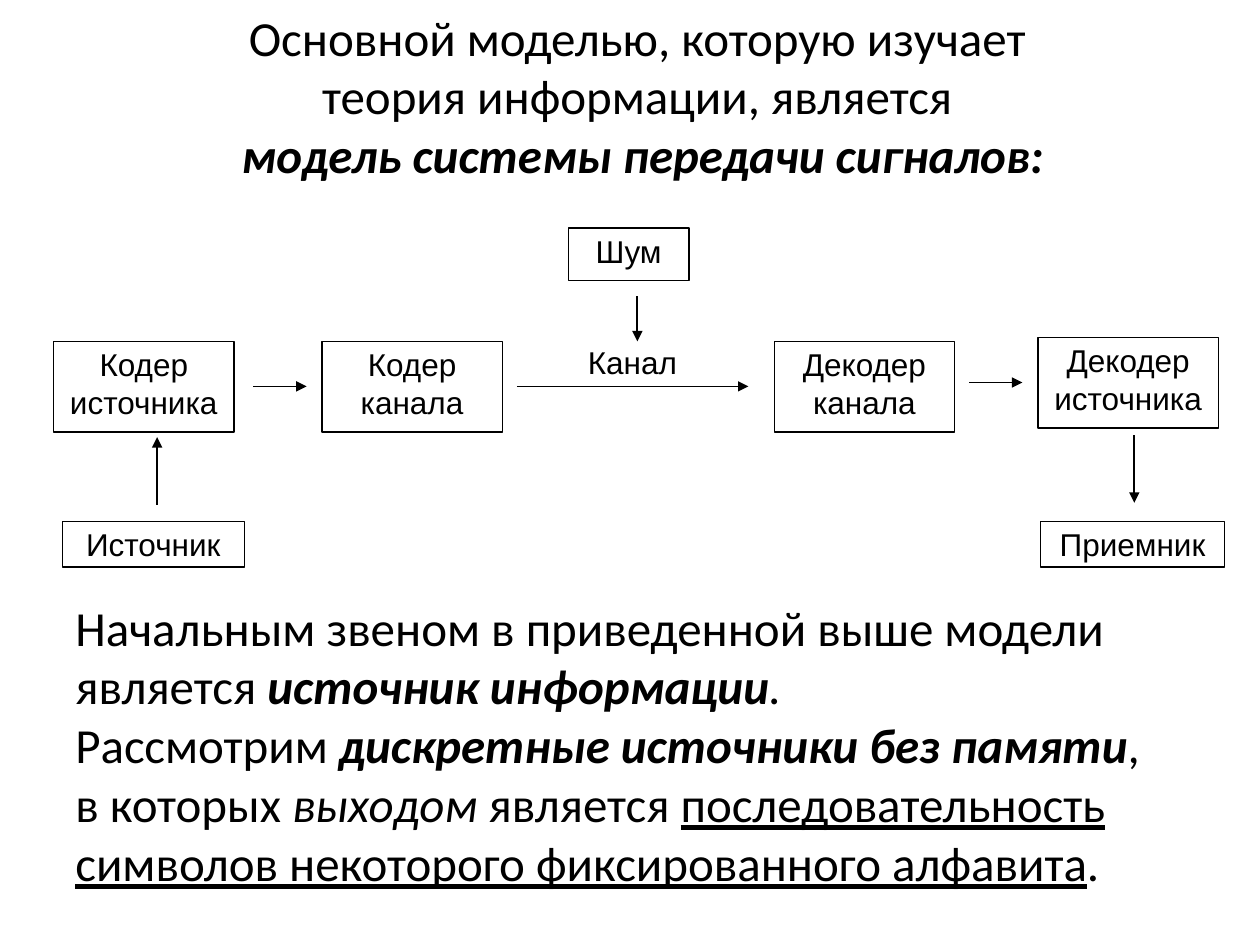
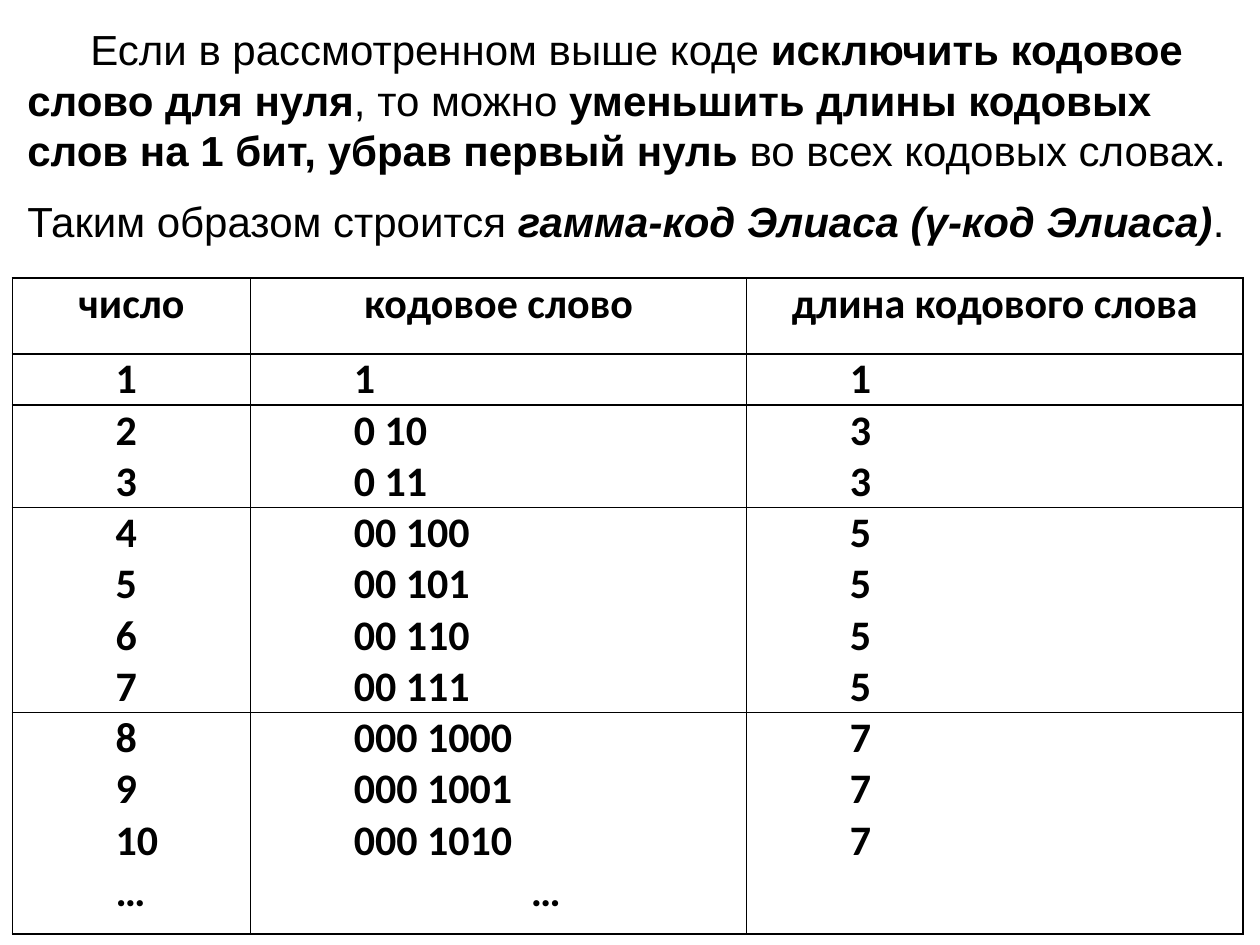
from lxml.etree import SubElement
from pptx import Presentation
from pptx.dml.color import RGBColor
from pptx.enum.shapes import MSO_CONNECTOR, MSO_SHAPE
from pptx.enum.text import MSO_ANCHOR, PP_ALIGN
from pptx.oxml.ns import qn
from pptx.util import Pt

BLACK, WHITE = "000000", "FFFFFF"
color = RGBColor.from_string


def add_spans(para, spans, size, font):
    """Add (text, style) runs; style letters are b, i and u, and a newline breaks the line."""
    for text, style in spans:
        for index, piece in enumerate(text.split("\n")):
            if index:
                para.add_line_break()
            if piece:
                span = para.add_run()
                span.text = piece
                span.font.size, span.font.name = Pt(size), font
                span.font.color.rgb = color(BLACK)
                span.font.bold = "b" in style
                span.font.italic = "i" in style
                span.font.underline = "u" in style


def add_text_box(page, place, paragraphs, size, font, anchor=MSO_ANCHOR.TOP):
    box = page.shapes.add_textbox(*map(Pt, place))
    frame = box.text_frame
    frame.word_wrap = True
    frame.vertical_anchor = anchor
    for index, spans in enumerate(paragraphs):
        para = frame.add_paragraph() if index else frame.paragraphs[0]
        add_spans(para, spans, size, font)
    return frame


deck = Presentation()
deck.slide_width, deck.slide_height = Pt(720), Pt(540)
blank = deck.slide_layouts[6]

# Slide 1: signal transmission model
page = deck.slides.add_slide(blank)
title = add_text_box(page, (14.4, 9.4, 705.6, 90), [[
    ("Основной моделью, которую изучает \nтеория информации, является \n", ""),
    ("модель системы передачи сигналов:", "bi"),
]], 28, "Calibri", MSO_ANCHOR.MIDDLE)
title.paragraphs[0].alignment = PP_ALIGN.CENTER

blocks = [
    ("Шум", 324.7, 130.3, 69.1, 30.2),
    ("Источник", 35.6, 298, 104, 26),
    ("Приемник", 594.7, 298, 105, 26),
    ("Кодер\nисточника", 30.7, 195.1, 103, 51.8),
    ("Кодер\nканала", 184, 195.1, 103, 51.8),
    ("Декодер\nканала", 442.5, 195.1, 103, 51.8),
    ("Декодер\nисточника", 593.2, 192.8, 103, 51.8),
    ("Канал", 316.1, 193.7, 90.7, 26),
]
for label, *place in blocks:
    if label == "Канал":
        box = page.shapes.add_textbox(*map(Pt, place))
    else:
        box = page.shapes.add_shape(MSO_SHAPE.RECTANGLE, *map(Pt, place))
        box.shadow.inherit = False
        box.fill.solid()
        box.fill.fore_color.rgb = color(WHITE)
        box.line.color.rgb = color(BLACK)
        box.line.width = Pt(0.75)
    frame = box.text_frame
    frame.word_wrap = True
    frame.vertical_anchor = MSO_ANCHOR.TOP
    frame.margin_left = frame.margin_right = Pt(4.5)
    frame.margin_top = frame.margin_bottom = Pt(2.25)
    for index, line in enumerate(label.split("\n")):
        para = frame.add_paragraph() if index else frame.paragraphs[0]
        para.alignment = PP_ALIGN.CENTER
        add_spans(para, [(line, "")], 18, "Arial")

arrows = [
    (144.7, 220.8, 175.2, 220.8, 0.75),
    (295.4, 220.8, 427.7, 220.8, 0.75),
    (553.8, 218.6, 584.2, 218.6, 0.75),
    (364.2, 169.2, 364.2, 195.1, 1),
    (89.8, 288.5, 89.8, 249.8, 1),
    (648.2, 248.6, 648.2, 287.3, 1),
]
for *ends, width in arrows:
    arrow = page.shapes.add_connector(MSO_CONNECTOR.STRAIGHT, *map(Pt, ends))
    arrow.line.color.rgb = color(BLACK)
    arrow.line.width = Pt(width)
    SubElement(arrow.line._get_or_add_ln(), qn("a:tailEnd"), type="triangle")
    SubElement(arrow._element.spPr, qn("a:effectLst"))

add_text_box(page, (36, 337.7, 672.5, 177), [
    [("Начальным звеном в приведенной выше модели является ", ""),
     ("источник информации", "bi"), (".", "i")],
    [("Рассмотрим ", ""), ("дискретные источники без памяти", "bi"),
     (",\nв которых ", ""), ("выходом", "i"), (" является ", ""),
     ("последовательность символов некоторого фиксированного алфавита", "u"), (".", "")],
], 28, "Calibri")

# Slide 2: Elias gamma code
page = deck.slides.add_slide(blank)
columns = [
    (136.1, "число", ["1", "2 3", "4 5 6 7", "8 9 10 …"]),
    (283.5, "кодовое слово", ["1", "0_10 0_11", "00_100 00_101 00_110 00_111",
                              "000_1000 000_1001 000_1010 …"]),
    (283.5, "длина кодового слова", ["1", "3 3", "5 5 5 5", "7 7 7"]),
]
row_heights = [43.2, 29.3, 58.6, 117.2, 126.5]
table = page.shapes.add_table(len(row_heights), len(columns), Pt(7.1), Pt(159),
                              Pt(703.1), Pt(sum(row_heights))).table
table.first_row = table.horz_banding = False
for row, height in zip(table.rows, row_heights):
    row.height = Pt(height)
for column_index, (width, heading, groups) in enumerate(columns):
    table.columns[column_index].width = Pt(width)
    for row_index, group in enumerate([[heading]] + [group.split() for group in groups]):
        cell = table.cell(row_index, column_index)
        cell.margin_left = cell.margin_right = Pt(5)
        cell.margin_top = cell.margin_bottom = Pt(0)
        properties = cell._tc.get_or_add_tcPr()
        for side in ("lnL", "lnR", "lnT", "lnB"):
            border = SubElement(properties, qn(f"a:{side}"), w=str(Pt(1)))
            SubElement(SubElement(border, qn("a:solidFill")), qn("a:srgbClr"), val=BLACK)
        cell.fill.background()
        for index, entry in enumerate(group):
            para = cell.text_frame.add_paragraph() if index else cell.text_frame.paragraphs[0]
            centred = row_index == 0 or (entry == "…" and column_index == 1)
            para.alignment = PP_ALIGN.CENTER if centred else PP_ALIGN.JUSTIFY
            if row_index:
                para._p.get_or_add_pPr().set("indent", str(Pt(54)))
            add_spans(para, [(entry.replace("_", " "), "b")], 24, "Calibri")

intro = add_text_box(page, (8.6, 9.4, 702.7, 135.4), [
    [("Если в рассмотренном выше коде ", ""), ("исключить кодовое слово для нуля", "b"),
     (", то можно ", ""), ("уменьшить длины кодовых слов на 1 бит, убрав первый нуль", "b"),
     (" во всех кодовых словах.", "")],
    [("Таким образом строится ", ""), ("гамма-код Элиаса (γ-код Элиаса)", "bi"), (".", "")],
], 24, "Arial", MSO_ANCHOR.MIDDLE)
intro.paragraphs[0]._p.get_or_add_pPr().set("indent", str(Pt(36)))
intro.paragraphs[1].space_before = Pt(12)

deck.save("out.pptx")
